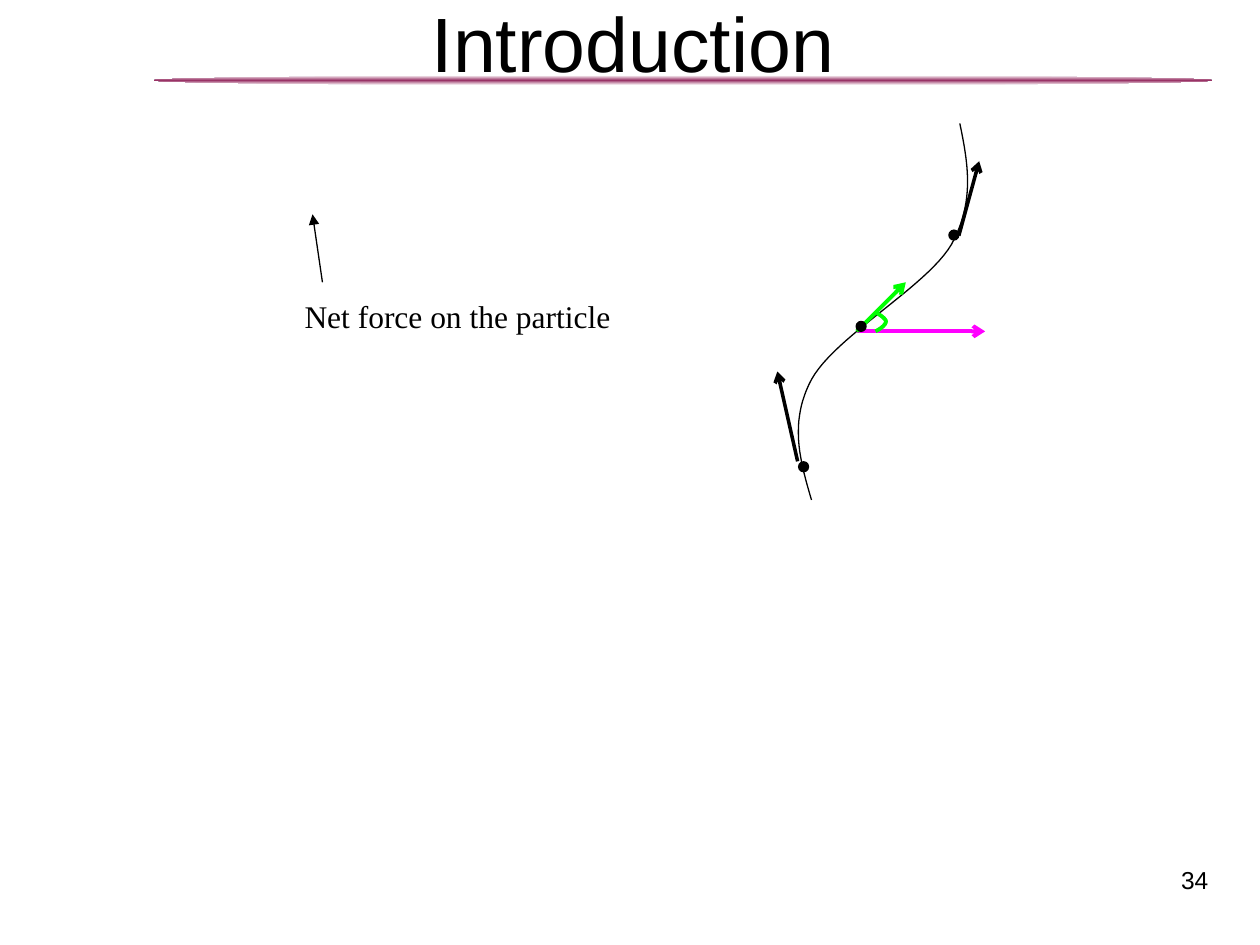
"""Build the Introduction slide: a particle on a curved path with its force vectors."""
from copy import deepcopy
from dataclasses import dataclass

from lxml.etree import SubElement
from pptx import Presentation
from pptx.dml.color import RGBColor as Rgb
from pptx.enum.shapes import MSO_CONNECTOR as Connector
from pptx.enum.shapes import MSO_SHAPE as Shape
from pptx.enum.text import MSO_ANCHOR as Anchor
from pptx.enum.text import MSO_AUTO_SIZE as AutoSize
from pptx.enum.text import PP_ALIGN as Align
from pptx.oxml.ns import qn
from pptx.util import Cm, Pt


@dataclass(frozen=True)
class Theme:
    """Hold the colours, fonts, type sizes and line widths."""
    black: Rgb = Rgb(0, 0, 0)
    white: Rgb = Rgb(255, 255, 255)
    plum: Rgb = Rgb(0x99, 0x33, 0x66)
    magenta: Rgb = Rgb(255, 0, 255)
    green: Rgb = Rgb(0, 255, 0)
    sans: str = "Arial"
    serif: str = "Times New Roman"
    title: int = 44
    label: int = 18
    number: int = 14
    thin: float = 0.75
    medium: float = 2
    thick: float = 2.25


THEME = Theme()
DOT_SIZE = 0.2
PATH = [(16.36, 10.08), (16.13, 9.3), (15.9, 8.51), (16.36, 7.65), (16.84, 6.78),
        (18.67, 5.79), (19.18, 4.93), (19.66, 4.06), (19.51, 3.28), (19.35, 2.49)]
ANGLE_MARK = [(17.65, 6.3), (17.75, 6.35), (17.86, 6.43), (17.86, 6.48),
              (17.86, 6.55), (17.75, 6.63), (17.65, 6.68)]


def place(item, left, top, width, height):
    """Set the position and size of a shape in centimetres."""
    item.left, item.top = Cm(left), Cm(top)
    item.width, item.height = Cm(width), Cm(height)


def write(box, text, *, size, font, align=Align.LEFT, wrap=True):
    """Put one formatted paragraph into a shape."""
    frame = box.text_frame
    frame.word_wrap = wrap
    frame.vertical_anchor = Anchor.TOP
    para = frame.paragraphs[0]
    para.alignment = align
    span = para.add_run()
    span.text = text
    span.font.size, span.font.name = Pt(size), font
    span.font.color.rgb = THEME.black
    return frame


def add_title(page, text):
    """Move and format the title placeholder."""
    title = page.shapes.title
    place(title, 1.55, -0.38, 22.86, 3.18)
    frame = write(title, text, size=THEME.title, font=THEME.sans, align=Align.CENTER)
    frame.auto_size = AutoSize.NONE
    frame.margin_top = Cm(0.29)


def add_text(page, text, left, top, width, height, **style):
    """Add a text box."""
    box = page.shapes.add_textbox(Cm(left), Cm(top), Cm(width), Cm(height))
    return write(box, text, **style)


def add_ellipse(page, left, top, width, height):
    """Add an ellipse without a shadow."""
    ellipse = page.shapes.add_shape(
        Shape.OVAL, Cm(left), Cm(top), Cm(width), Cm(height))
    ellipse.shadow.inherit = False
    return ellipse


def add_rule(page):
    """Add the tapering rule that fades from plum to white."""
    rule = add_ellipse(page, 3.1, 1.52, 21.34, 0.2)
    rule.line.fill.background()
    rule.fill.gradient()
    rule.fill.gradient_angle = 90
    stops = rule.fill.gradient_stops
    first = rule.element.spPr.find(".//" + qn("a:gs"))
    first.addnext(deepcopy(first))
    stops = rule.fill.gradient_stops
    colors = (THEME.white, THEME.plum, THEME.white)
    for stop, position, color in zip(stops, (0, 0.5, 1), colors):
        stop.position = position
        stop.color.rgb = color


def add_dot(page, x, y):
    """Add a particle centred on a point."""
    dot = add_ellipse(page, x - DOT_SIZE / 2, y - DOT_SIZE / 2, DOT_SIZE, DOT_SIZE)
    dot.fill.solid()
    dot.fill.fore_color.rgb = THEME.black
    dot.line.color.rgb = THEME.black
    dot.line.width = Pt(THEME.thin)


def add_arrow(page, start, end, color, width, head="arrow"):
    """Add a straight arrow with its head at the end point."""
    arrow = page.shapes.add_connector(
        Connector.STRAIGHT, *(Cm(value) for value in start + end))
    arrow.line.color.rgb = color
    arrow.line.width = Pt(width)
    SubElement(arrow.line._get_or_add_ln(), qn("a:tailEnd"), type=head)
    SubElement(arrow.element.spPr, qn("a:effectLst"))


def bezier(points, t):
    """Return the point at t on a cubic curve."""
    weights = ((1 - t) ** 3, 3 * t * (1 - t) ** 2, 3 * t ** 2 * (1 - t), t ** 3)
    return tuple(Cm(sum(w * value for w, value in zip(weights, axis)))
                 for axis in zip(*points))


def add_curve(page, points, color, width, steps=24):
    """Add an open outline along joined cubic curves."""
    vertices = [bezier(points[first:first + 4], step / steps)
                for first in range(0, len(points) - 1, 3)
                for step in range(1, steps + 1)]
    builder = page.shapes.build_freeform(*(Cm(value) for value in points[0]))
    builder.add_line_segments(vertices, close=False)
    curve = builder.convert_to_shape()
    curve.shadow.inherit = False
    curve.fill.background()
    curve.line.color.rgb = color
    curve.line.width = Pt(width)


def main():
    """Build and save the deck."""
    deck = Presentation()
    deck.slide_width, deck.slide_height = Cm(25.4), Cm(19.05)
    page = deck.slides.add_slide(deck.slide_layouts[5])

    add_rule(page)
    add_title(page, "Introduction ")
    add_text(page, "34", 18.69, 17.32, 5.92, 1.14,
             size=THEME.number, font=THEME.sans, align=Align.RIGHT)

    add_curve(page, PATH, THEME.black, THEME.thin)
    add_arrow(page, (19.33, 4.75), (19.74, 3.25), THEME.black, THEME.medium)
    add_arrow(page, (16.08, 9.3), (15.67, 7.49), THEME.black, THEME.medium)
    add_arrow(page, (17.27, 6.68), (19.86, 6.68), THEME.magenta, THEME.thick)
    add_arrow(page, (17.27, 6.68), (18.26, 5.69), THEME.green, THEME.thick)
    add_curve(page, ANGLE_MARK, THEME.green, THEME.thick)
    for center in ((19.23, 4.74), (17.36, 6.58), (16.2, 9.41)):
        add_dot(page, *center)

    add_arrow(page, (6.5, 5.69), (6.3, 4.32), THEME.black, THEME.thin, "triangle")
    label = add_text(page, "Net force on the particle", 5.89, 5.87, 6.76, 1.02,
                     size=THEME.label, font=THEME.serif, wrap=False)
    label.auto_size = AutoSize.SHAPE_TO_FIT_TEXT

    deck.save("out.pptx")


if __name__ == "__main__":
    main()
